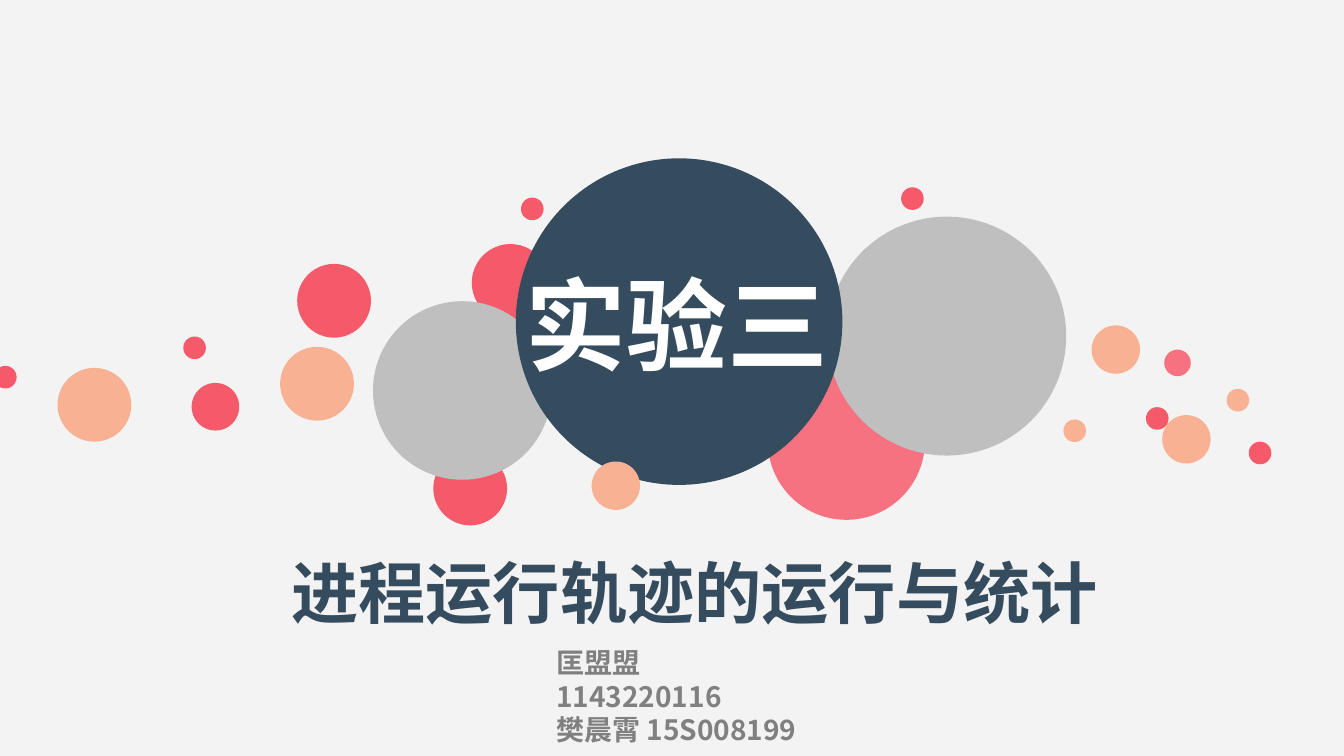
from pptx import Presentation
from pptx.dml.color import RGBColor as RGB
from pptx.enum.shapes import MSO_SHAPE as Kind
from pptx.enum.text import MSO_ANCHOR as Anchor, MSO_AUTO_SIZE as Auto, PP_ALIGN as Align
from pptx.oxml.ns import qn
from pptx.util import Cm, Pt
from lxml.etree import SubElement as Sub

FONT = "Noto Sans CJK SC"
PAPER = RGB(0xF3, 0xF3, 0xF3)
NAVY = RGB(0x35, 0x4B, 0x5E)
RED = RGB(0xF4, 0x5A, 0x69)
PINK = RGB(0xF6, 0x72, 0x80)
PEACH = RGB(0xF8, 0xB1, 0x93)
SILVER = RGB(0xBF, 0xBF, 0xBF)
GRAY = RGB(0x80, 0x80, 0x80)
WHITE = RGB(0xFF, 0xFF, 0xFF)

DOT, MID, BIG = 0.57, 1.22, 1.86
BACK = [
    (11.89, 6.15, 1.95, RED), (10.92, 11.38, BIG, RED),
    (19.35, 9.14, 3.96, PINK), (20.85, 5.46, 6.02, SILVER),
    (9.4, 7.59, 4.5, SILVER), (4.83, 9.65, 1.2, RED),
    (29.34, 8.81, 0.67, PINK), (27.51, 8.2, MID, PEACH),
    (7.06, 8.74, BIG, PEACH), (26.8, 10.57, DOT, PEACH),
    (13, 3.99, 8.23, NAVY),
]
FRONT = [
    (7.49, 6.65, BIG, RED), (28.88, 10.26, DOT, RED),
    (31.47, 11.13, DOT, RED), (30.91, 9.8, DOT, PEACH),
    (4.62, 8.48, DOT, RED), (22.71, 4.72, DOT, RED),
    (13.13, 4.98, DOT, RED), (29.29, 10.46, MID, PEACH),
    (1.45, 9.27, BIG, PEACH), (14.91, 11.63, MID, PEACH),
    (-0.15, 9.22, DOT, RED),
]


def add_ball(slide, left, top, size, color):
    """Draw one flat circle."""
    ball = slide.shapes.add_shape(Kind.OVAL, Cm(left), Cm(top), Cm(size), Cm(size))
    ball.shadow.inherit = False
    ball.fill.solid()
    ball.fill.fore_color.rgb = color
    ball.line.fill.background()


def set_text(shape, text, size, pitch, color):
    """Fill a shape with bold left-aligned text at a fixed line pitch."""
    frame = shape.text_frame
    frame.text = text
    frame.word_wrap = True
    frame.auto_size = Auto.NONE
    frame.vertical_anchor = Anchor.TOP
    for para in frame.paragraphs:
        para.alignment = Align.LEFT
        para.line_spacing = Pt(pitch)
        para.space_before = Pt(0)
        for run in para.runs:
            font = run.font
            font.name, font.size, font.bold = FONT, Pt(size), True
            font.color.rgb = color
            Sub(run._r.get_or_add_rPr(), qn("a:ea")).set("typeface", FONT)


def add_text(slide, left, top, width, height, *style):
    """Add a text box with styled text."""
    box = slide.shapes.add_textbox(Cm(left), Cm(top), Cm(width), Cm(height))
    set_text(box, *style)


def put_title(slide, left, top, width, height, *style):
    """Move and style the title placeholder."""
    title = slide.shapes.title
    title.left, title.top = Cm(left), Cm(top)
    title.width, title.height = Cm(width), Cm(height)
    set_text(title, *style)


def main():
    """Build the cover slide."""
    deck = Presentation()
    deck.slide_width, deck.slide_height = Cm(33.87), Cm(19.05)
    slide = deck.slides.add_slide(deck.slide_layouts[5])
    slide.background.fill.solid()
    slide.background.fill.fore_color.rgb = PAPER
    put_title(slide, 7.09, 13.74, 21.03, 2.31,
              "进程运行轨迹的运行与统计", 48, 58, NAVY)
    for ball in BACK:
        add_ball(slide, *ball)
    add_text(slide, 13.77, 16.14, 6.96, 1.96,
             "匡盟盟\v1143220116\n樊晨霄 15S008199", 20, 24, GRAY)
    add_text(slide, 13, 6.48, 8.2, 3.33, "实验三", 72, 87, WHITE)
    for ball in FRONT:
        add_ball(slide, *ball)
    deck.save("out.pptx")


if __name__ == "__main__":
    main()
